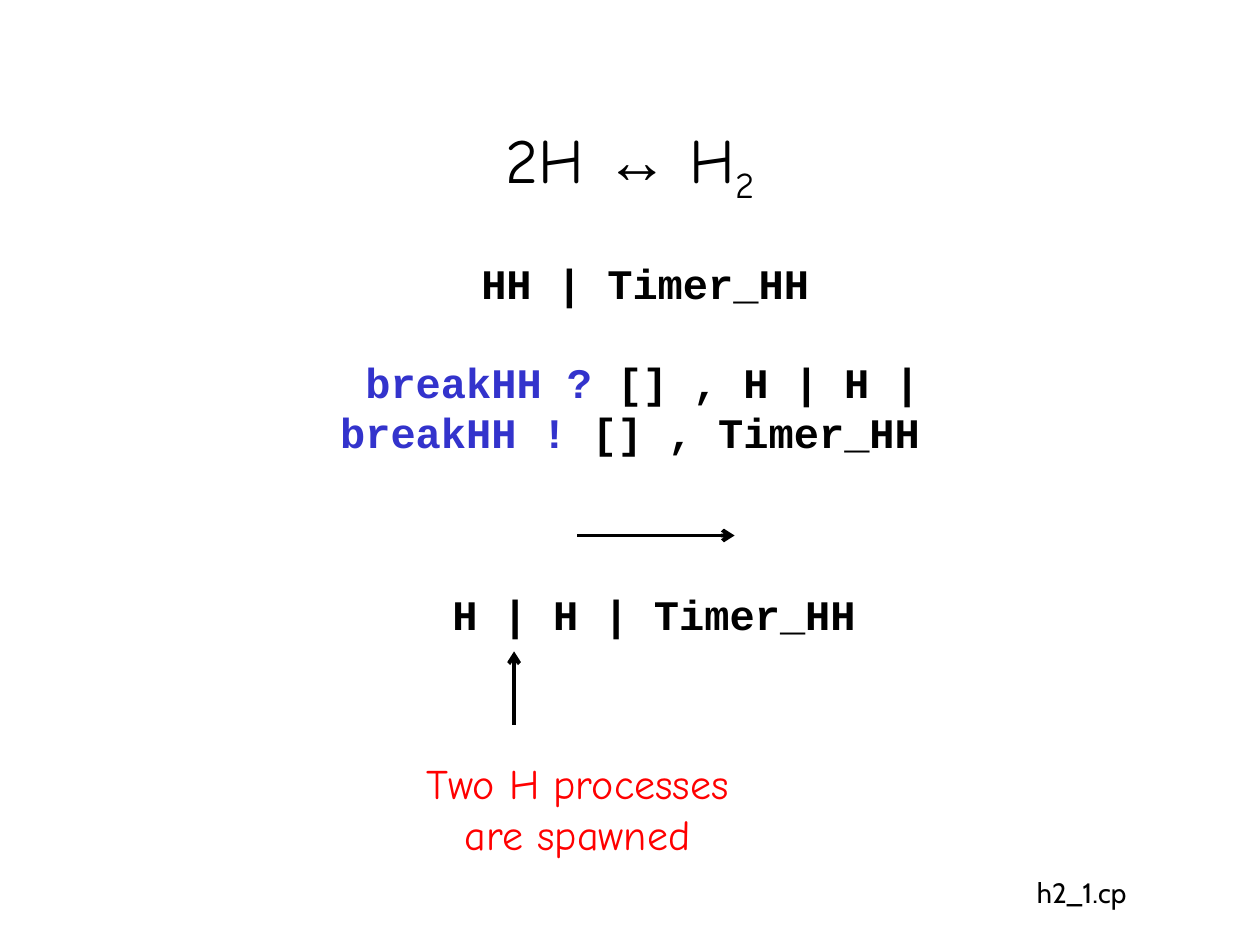
from lxml.etree import SubElement
from pptx import Presentation
from pptx.dml.color import RGBColor
from pptx.enum.shapes import MSO_CONNECTOR
from pptx.enum.text import MSO_ANCHOR, PP_ALIGN
from pptx.oxml.ns import qn
from pptx.util import Inches, Pt

BLACK = RGBColor(0x00, 0x00, 0x00)
BLUE = RGBColor(0x33, 0x33, 0xCC)
RED = RGBColor(0xFF, 0x00, 0x00)
HAND, CODE, LABEL, SYMBOL = "Comic Neue", "Courier New", "Cabin", "Arial"


def format_span(span, font, size, color=BLACK, bold=False):
    """Set the font, size, colour and weight of one run."""
    span.font.name = font
    span.font.size = Pt(size)
    span.font.color.rgb = color
    span.font.bold = bold


def add_text(shapes, box, lines, font, size=24, bold=False,
             anchor=MSO_ANCHOR.MIDDLE, wrap=False):
    """Add centred lines, each a list of (text, colour) spans."""
    frame = shapes.add_textbox(*map(Inches, box)).text_frame
    frame.word_wrap = wrap
    frame.vertical_anchor = anchor
    for number, line in enumerate(lines):
        para = frame.add_paragraph() if number else frame.paragraphs[0]
        para.alignment = PP_ALIGN.CENTER
        for text, color in line:
            span = para.add_run()
            span.text = text
            format_span(span, font, size, color, bold)


def add_arrow(shapes, start, end):
    """Draw a black arrow from start to end."""
    arrow = shapes.add_connector(MSO_CONNECTOR.STRAIGHT, *map(Inches, start + end))
    arrow.line.color.rgb = BLACK
    arrow.line.width = Pt(2.25)
    SubElement(arrow.line._get_or_add_ln(), qn("a:tailEnd"), type="arrow")
    SubElement(arrow._element.spPr, qn("a:effectLst"))


def fill_title(page, box):
    """Write the reaction equation in the title placeholder."""
    title = page.shapes.title
    title.left, title.top, title.width, title.height = map(Inches, box)
    title.text_frame.vertical_anchor = MSO_ANCHOR.MIDDLE
    para = title.text_frame.paragraphs[0]
    para.alignment = PP_ALIGN.CENTER
    for text, font in (("2H ", HAND), ("↔", SYMBOL), (" H", HAND), ("2", HAND)):
        span = para.add_run()
        span.text = text
        format_span(span, font, 36)
    span.font._element.set("baseline", "-25000")


def add_processes(page, box):
    """Add the starting processes and their definitions."""
    left, top, width, height = box
    add_text(page.shapes, (left + 0.48, top, 4.08, 0.83),
             [[("HH | Timer_HH", BLACK)]], CODE, bold=True)
    definitions = [[("breakHH ?", BLUE), (" [] , H | H |", BLACK)],
                   [("breakHH !", BLUE), (" [] , Timer_HH ", BLACK)]]
    add_text(page.shapes, (left, top + 0.95, width, height - 0.95),
             definitions, CODE, bold=True, anchor=MSO_ANCHOR.TOP)


def add_result(page, box):
    """Add the reaction arrow above the resulting processes."""
    left, top, width, height = box
    group = page.shapes.add_group_shape().shapes
    add_arrow(group, (left + 1.09, top), (left + 2.34, top))
    add_text(group, (left, top + 0.37, width, height - 0.37),
             [[("H | H | Timer_HH", BLACK)]], CODE, bold=True,
             anchor=MSO_ANCHOR.TOP)


def add_remark(page, box):
    """Add the red remark with an arrow pointing up from it."""
    left, top, width, height = box
    group = page.shapes.add_group_shape().shapes
    add_text(group, (left, top + 0.58, width, height - 0.58),
             [[("Two H processes are spawned", RED)]], HAND, wrap=True)
    add_arrow(group, (left + 0.91, top + 0.58), (left + 0.91, top))


def add_file_name(page, box):
    """Add the name of the program file."""
    add_text(page.shapes, box, [[("h2_1.cp", BLACK)]], LABEL, size=16)


def main():
    """Build the slide and save it."""
    deck = Presentation()
    deck.slide_width, deck.slide_height = Inches(10), Inches(7.5)
    page = deck.slides.add_slide(deck.slide_layouts[5])
    fill_title(page, (0.75, 0.67, 8.5, 1.25))
    add_processes(page, (2.6, 1.83, 5, 1.85))
    add_result(page, (3.49, 4.25, 3.4, 0.87))
    add_remark(page, (3.17, 5.17, 2.83, 1.91))
    add_file_name(page, (7.42, 6.92, 2.33, 0.33))
    deck.save("out.pptx")


if __name__ == "__main__":
    main()
